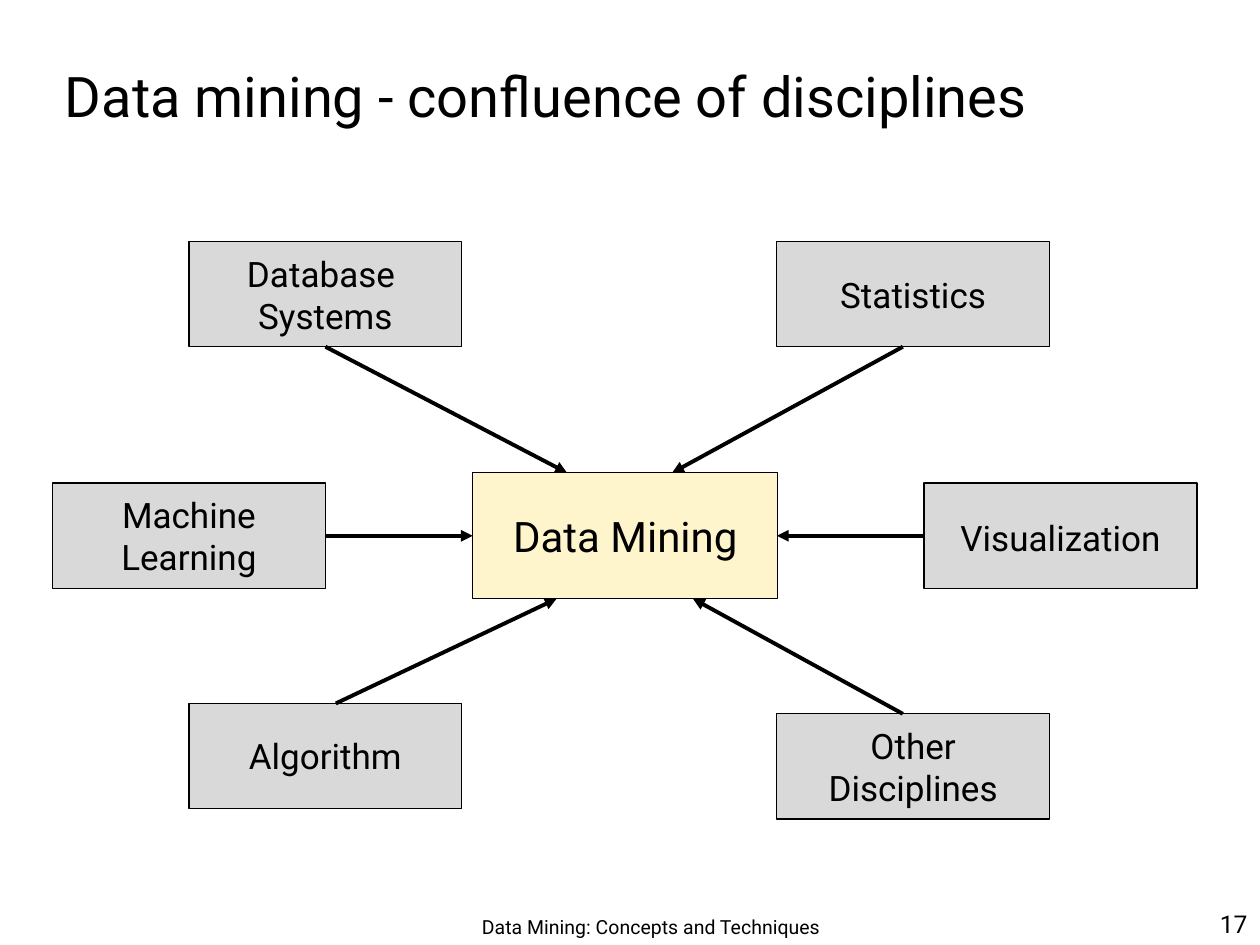
import pptx
import pptx.util
import pptx.dml.color
import pptx.enum.shapes
import pptx.enum.text
import pptx.oxml.ns
import lxml.etree

Cm = pptx.util.Cm
Pt = pptx.util.Pt
ALIGN = pptx.enum.text.PP_ALIGN
ANCHOR = pptx.enum.text.MSO_ANCHOR
BLACK = pptx.dml.color.RGBColor(0x00, 0x00, 0x00)
GREY = pptx.dml.color.RGBColor(0xD9, 0xD9, 0xD9)
CREAM = pptx.dml.color.RGBColor(0xFF, 0xF5, 0xCC)


def write(shape, text, size=20, align=ALIGN.CENTER, anchor=ANCHOR.MIDDLE,
          wrap=False, space=None, before=None):
    """Fill a shape with text, one paragraph to each line."""
    frame = shape.text_frame
    frame.text = text
    frame.word_wrap = wrap
    frame.vertical_anchor = anchor
    for para in frame.paragraphs:
        para.alignment = align
        para.line_spacing = space
        para.space_before = before
        font = para.runs[0].font
        font.name = "Roboto"
        font.size = Pt(size)
        font.color.rgb = BLACK


def box(left, top, width, height, fill):
    shape = shapes.add_shape(pptx.enum.shapes.MSO_SHAPE.RECTANGLE,
                             Cm(left), Cm(top), Cm(width), Cm(height))
    shape.shadow.inherit = False
    shape.fill.solid()
    shape.fill.fore_color.rgb = fill
    shape.line.color.rgb = BLACK
    shape.line.width = Pt(0.75)
    return shape


deck = pptx.Presentation()
deck.slide_width = Cm(25.4)
deck.slide_height = Cm(19.05)
shapes = deck.slides.add_slide(deck.slide_layouts[6]).shapes

# Title, footer and page number
title = shapes.add_textbox(Cm(1.06), Cm(0.85), Cm(23.92), Cm(2.12))
write(title, "Data mining - confluence of disciplines", size=32,
      align=ALIGN.LEFT, wrap=True)
foot = shapes.add_textbox(Cm(9.1), Cm(17.99), Cm(8.05), Cm(1.06))
write(foot, "Data Mining: Concepts and Techniques", size=11.1,
      anchor=ANCHOR.BOTTOM, wrap=True, space=0.9)
page = shapes.add_textbox(Cm(20.11), Cm(17.78), Cm(5.29), Cm(1.27))
write(page, "17", size=14, align=ALIGN.RIGHT, anchor=ANCHOR.BOTTOM, wrap=True)

# Centre and the fields around it
write(box(9.53, 9.53, 6.15, 2.54, CREAM), "Data Mining", size=24)
fields = [
    ("Database \nSystems", 3.81, 4.87, {}),
    ("Statistics", 15.66, 4.87, {}),
    ("Other\nDisciplines", 15.66, 14.39, {}),
    ("Algorithm", 3.81, 14.18, {}),
    ("Machine\nLearning", 1.06, 9.74, {}),
    ("Visualization", 18.63, 9.74, {"space": 1.1, "before": Pt(5)}),
]
for text, left, top, style in fields:
    write(box(left, top, 5.5, 2.12, GREY), text, **style)

# Arrows from each field to the centre
arrows = [
    (6.56, 10.8, 9.53, 10.8),
    (6.56, 6.99, 11.43, 9.53),
    (18.2, 6.99, 13.55, 9.53),
    (18.63, 10.8, 15.66, 10.8),
    (18.2, 14.39, 13.97, 12.07),
    (6.77, 14.18, 11.22, 12.07),
]
for ends in arrows:
    arrow = shapes.add_connector(pptx.enum.shapes.MSO_CONNECTOR.STRAIGHT,
                                 *[Cm(end) for end in ends])
    arrow.line.color.rgb = BLACK
    arrow.line.width = Pt(2.25)
    tip = lxml.etree.SubElement(arrow.line._get_or_add_ln(),
                                pptx.oxml.ns.qn("a:tailEnd"))
    tip.set("type", "triangle")
    lxml.etree.SubElement(arrow._element.spPr, pptx.oxml.ns.qn("a:effectLst"))

deck.save("out.pptx")
